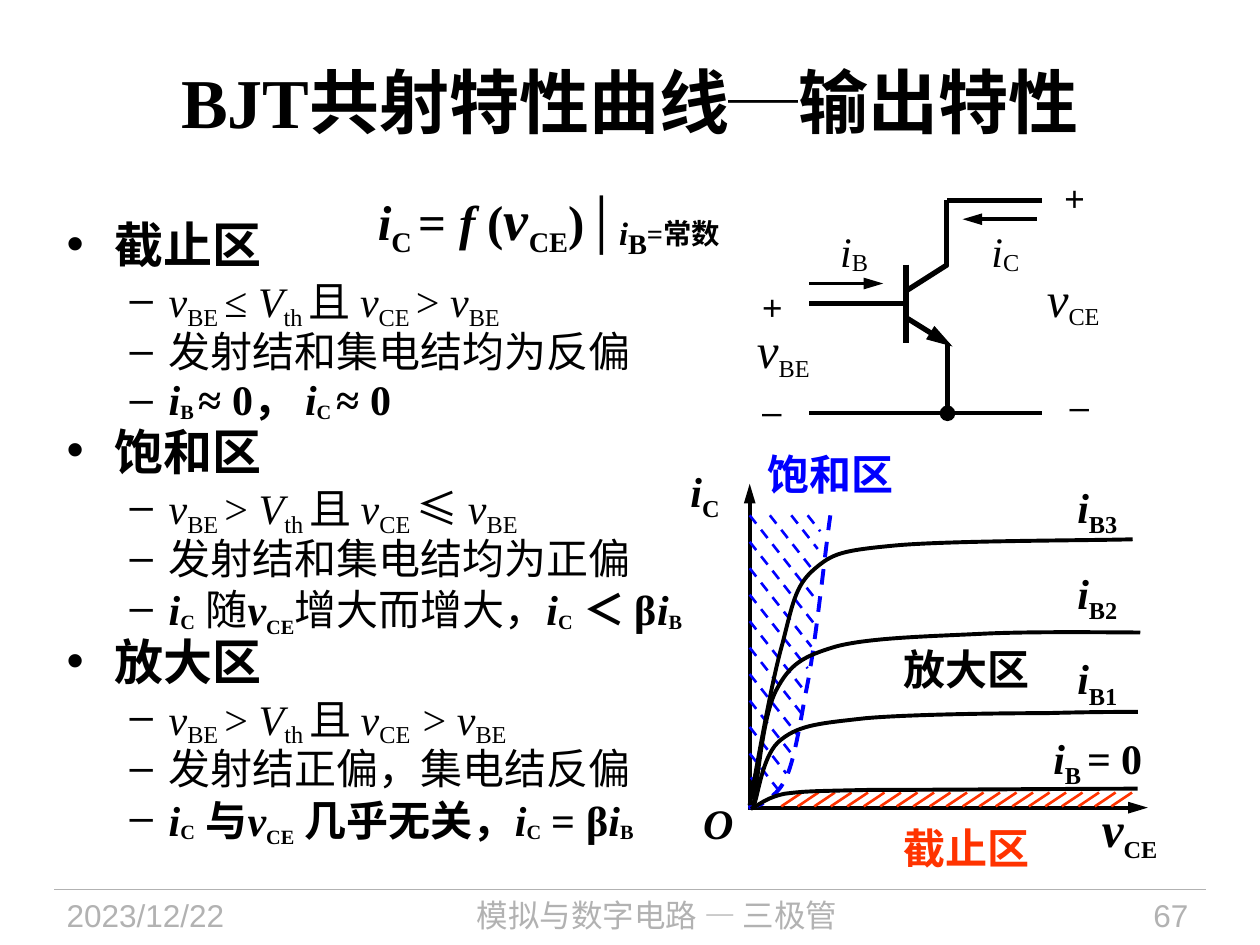
from lxml import etree
from pptx import Presentation
from pptx.dml.color import RGBColor
from pptx.enum import dml, shapes, text
from pptx.oxml import ns
from pptx.util import Inches, Pt

BLACK = RGBColor(0, 0, 0)
GRAY = RGBColor(0xB2, 0xB2, 0xB2)
RED = RGBColor(0xFF, 0x33, 0)
BLUE = RGBColor(0, 0, 0xFF)
TIMES, ARIAL, NOTO = "Times New Roman", "Arial", "Noto Sans CJK SC"
LEFT, MID, RIGHT = text.PP_ALIGN.LEFT, text.PP_ALIGN.CENTER, text.PP_ALIGN.RIGHT
DASH = dml.MSO_LINE.DASH


# A run is (wording, size, flags "b" and "i", baseline shift, font)
def run(words, size=24, flags="", base=0, font=TIMES):
    return words, size, flags, base, font


def term(name, sub, size=24, low=24, bold="", drop=-20):
    """A quantity in italics with its upright subscript."""
    return [run(name, size, bold + "i"), run(sub, low, bold, drop)]


def fill(para, runs, color=BLACK):
    for words, size, flags, base, font in runs:
        part = para.add_run()
        part.text = words
        face = part.font
        face.size, face.name = Pt(size), font
        face.bold, face.italic = "b" in flags, "i" in flags
        face.color.rgb = color
        if base:
            part._r.get_or_add_rPr().set("baseline", str(base * 1000))


def box(slide, place, runs, color=BLACK, align=LEFT, wrap=False, inset=True,
        middle=False, lead=None):
    frame = slide.shapes.add_textbox(*map(Inches, place)).text_frame
    frame.word_wrap = wrap
    if not inset:
        frame.margin_left = frame.margin_right = 0
        frame.margin_top = frame.margin_bottom = 0
    if middle:
        frame.vertical_anchor = text.MSO_ANCHOR.MIDDLE
    para = frame.paragraphs[0]
    para.alignment = align
    if lead:
        para.line_spacing = lead
    fill(para, runs, color)
    return frame


def line(slide, start, end, width=2.25, color=BLACK, dash=None, tip=None):
    wire = slide.shapes.add_connector(
        shapes.MSO_CONNECTOR.STRAIGHT, *map(Inches, (*start, *end)))
    wire.line.width, wire.line.color.rgb = Pt(width), color
    if dash:
        wire.line.dash_style = dash
    if tip:
        tail = etree.SubElement(wire.line._get_or_add_ln(), ns.qn("a:tailEnd"), type=tip)
        if tip == "triangle":
            tail.set("len", "lg")
    etree.SubElement(wire._element.spPr, ns.qn("a:effectLst"))


def curve(slide, start, parts, color=BLACK, dash=None):
    """Draw a chain of cubic segments, each (x1, y1, x2, y2, x3, y3)."""
    dots = [(Inches(part[n]), Inches(part[n + 1])) for part in parts for n in (0, 2, 4)]
    pen = slide.shapes.build_freeform(*map(Inches, start))
    pen.add_line_segments(dots, close=False)
    shape = pen.convert_to_shape()
    # Join every three straight steps into one cubic segment
    steps = list(shape._element.iter(ns.qn("a:lnTo")))
    for n in range(0, len(steps), 3):
        bend = etree.Element(ns.qn("a:cubicBezTo"))
        steps[n].addprevious(bend)
        for step in steps[n:n + 3]:
            bend.append(step[0])
            step.getparent().remove(step)
    shape.shadow.inherit = False
    shape.fill.background()
    shape.line.width, shape.line.color.rgb = Pt(2.25), color
    if dash:
        shape.line.dash_style = dash


def item(para, runs, head):
    left, hang, mark, size = (0.38, 0.38, "•", 28) if head else (0.81, 0.31, "–", 24)
    para.line_spacing, para.space_after = 0.8, Pt(0.2 * size)
    props = para._p.get_or_add_pPr()
    props.set("marL", str(Inches(left)))
    props.set("indent", str(-Inches(hang)))
    etree.SubElement(props, ns.qn("a:buFont"), typeface=ARIAL)
    etree.SubElement(props, ns.qn("a:buChar"), char=mark)
    fill(para, runs)


def notes(slide):
    def rule(sign, last, gap="CE "):
        return [*term("v", "BE "), run(sign), *term("V", "th "), run("且 "),
                *term("v", gap), last, *term("v", "BE")]

    def amp(name, sub, drop=-10):
        return term(name, sub, low=20, bold="b", drop=drop)

    more = run("> ")
    zones = [
        ("截止区", rule("≤ ", more), [run("发射结和集电结均为反偏")],
         [*amp("i", "B "), run("≈ 0， ", flags="b"), *amp("i", "C "),
          run("≈ 0", flags="b")]),
        ("饱和区", rule("> ", run("≤ ", font=NOTO)), [run("发射结和集电结均为正偏")],
         [*amp("i", "C"), run(" ", flags="i"), run("随"), *amp("v", "CE", -25),
          run("增大而增大，"), *amp("i", "C"), run(" ", flags="i"),
          run("＜ β", flags="b"), *amp("i", "B")]),
        ("放大区", rule("> ", more, "CE  "), [run("发射结正偏，集电结反偏")],
         [*amp("i", "C"), run(" 与", flags="b"), *amp("v", "CE", -25),
          run(" 几乎无关，", flags="b"), *amp("i", "C"), run(" ", flags="i"),
          run("= β", flags="b"), *amp("i", "B")]),
    ]
    frame = box(slide, (0.43, 1.74, 5.21, 5.41), [], wrap=True)
    para = frame.paragraphs[0]
    for name, *rows in zones:
        if name != zones[0][0]:
            para = frame.add_paragraph()
        item(para, [run(name, 28, "b")], True)
        for row in rows:
            item(frame.add_paragraph(), row, False)


def circuit(slide):
    # Transistor and wires
    for start, end, width, tip in [
            ((7.19, 2.1), (7.19, 2.72), 3, None),
            ((7.19, 2.41), (6.42, 2.41), 3, None),
            ((7.19, 2.31), (7.52, 2.1), 3, None),
            ((7.19, 2.52), (7.56, 2.75), 3, "triangle"),
            ((7.51, 2.11), (7.51, 1.59), 3, None),
            ((7.52, 2.72), (7.52, 3.28), 3, "oval"),
            ((8.27, 3.28), (6.42, 3.28), 2.25, None),
            ((8.27, 1.59), (7.52, 1.59), 3, None),
            ((6.42, 2.25), (7.01, 2.25), 2.25, "triangle"),
            ((8.23, 1.74), (7.64, 1.74), 2.25, "triangle")]:
        line(slide, start, end, width, tip=tip)
    # Currents, voltages and signs
    for x, sub in (6.57, "B"), (7.77, "C"):
        box(slide, (x, 1.74, 0.44, 0.5), term("i", sub, drop=-10))
    for x, y, sub in (5.91, 2.49, "BE"), (8.21, 2.08, "CE"):
        box(slide, (x, y, 0.66, 0.57), term("v", sub, 28))
    for x, y, sign in ((5.95, 2.22, "+"), (5.95, 3.04, "–"),
                       (8.35, 1.35, "+"), (8.39, 3, "–")):
        box(slide, (x, y, 0.36, 0.43), [run(sign, 20, font=ARIAL)])


def graph(slide):
    # Axes
    line(slide, (5.94, 6.41), (9.11, 6.41), tip="triangle")
    line(slide, (5.95, 6.41), (5.95, 3.84), tip="triangle")
    box(slide, (8.74, 6.34, 0.45, 0.51), term("v", "CE", 28, 24, "b", -25),
        align=MID, inset=False, middle=True)
    box(slide, (5.48, 3.72, 0.25, 0.4), term("i", "C", bold="b", drop=-25),
        inset=False, middle=True)
    box(slide, (5.58, 6.33, 0.24, 0.4), [run("O", flags="bi")], inset=False)

    # Cut-off hatching
    for n in range(21):
        x = 6.2 + 0.131 * n
        line(slide, (x, 6.4), (x + 0.165, 6.29), 1.5, RED)

    # Saturation hatching
    ends = 6.47, 6.46, 6.44, 6.41, 6.39, 6.37, 6.33, 6.29, 6.24, 6.17
    rays = [(5.95, 4.09 + 0.21 * n, end) for n, end in enumerate(ends)]
    rays += [(6.11, 4.09, 6.47), (6.28, 4.09, 6.49), (6.41, 4.09, 6.51),
             (5.96, 6.17, 6.05)]
    for x, y, end in rays:
        line(slide, (x, y), (end, y + 1.27 * (end - x)), 1.5, BLUE, DASH)
    curve(slide, (5.94, 6.41), [
        (5.96, 6.4, 6.04, 6.4, 6.09, 6.35), (6.15, 6.3, 6.21, 6.26, 6.26, 6.12),
        (6.31, 5.98, 6.35, 5.75, 6.39, 5.52), (6.44, 5.29, 6.48, 4.97, 6.51, 4.73),
        (6.54, 4.49, 6.57, 4.22, 6.59, 4.09)], BLUE, DASH)

    # Output curves, from zero base current upwards
    curve(slide, (5.96, 6.42), [
        (6.01, 6.4, 6.08, 6.33, 6.23, 6.3), (6.39, 6.28, 6.43, 6.28, 6.89, 6.27),
        (7.36, 6.27, 8.58, 6.26, 9.03, 6.26)])
    curve(slide, (5.98, 6.4), [
        (6.02, 6.31, 6.05, 5.98, 6.2, 5.87), (6.35, 5.75, 6.52, 5.74, 6.87, 5.7),
        (7.21, 5.67, 7.94, 5.66, 8.3, 5.66), (8.66, 5.65, 8.88, 5.65, 9.03, 5.65)])
    curve(slide, (5.98, 6.39), [
        (6.01, 6.24, 6.05, 5.69, 6.16, 5.48), (6.27, 5.27, 6.37, 5.21, 6.64, 5.13),
        (6.91, 5.06, 7.4, 5.05, 7.8, 5.03), (8.21, 5.01, 8.84, 5.02, 9.05, 5.02)])
    curve(slide, (5.95, 6.39), [
        (5.99, 6.18, 6.12, 5.42, 6.21, 5.11), (6.29, 4.8, 6.31, 4.65, 6.46, 4.52),
        (6.61, 4.39, 6.68, 4.37, 7.1, 4.33), (7.52, 4.29, 8.68, 4.29, 8.99, 4.28)])
    for n in 1, 2, 3:
        box(slide, (8.55, 5.77 - 0.68 * n, 0.41, 0.48),
            term("i", f"B{n}", bold="b", drop=-25), inset=False, lead=1.2)
    box(slide, (8.36, 5.72, 0.73, 0.48), [
        *term("i", "B ", bold="b", drop=-25), run("= 0", flags="b")],
        inset=False, lead=1.2)

    # Region names
    for x, y, name, color in ((7.07, 6.48, "截止区", RED), (7.07, 5.06, "放大区", BLACK),
                              (5.99, 3.51, "饱和区", BLUE)):
        box(slide, (x, y, 1.21, 0.5), [run(name, 24, "b", font=ARIAL)], color)


def main():
    deck = Presentation()
    deck.slide_width, deck.slide_height = Inches(10), Inches(7.5)
    slide = deck.slides.add_slide(deck.slide_layouts[6])

    # Footer
    line(slide, (0.43, 7.06), (9.57, 7.06), 0.75, GRAY)
    box(slide, (0.43, 7.06, 1.88, 0.44), [run("2023/12/22", 18, font=ARIAL)],
        GRAY, wrap=True)
    box(slide, (2.4, 7.06, 5.63, 0.44), [
        run("模拟与数字电路 ", 18, font=ARIAL), run("— ", 18),
        run("三极管", 18, font=ARIAL)], GRAY, MID, wrap=True)
    box(slide, (8.2, 7.06, 1.33, 0.44), [run("67", 18, font=ARIAL)],
        GRAY, RIGHT, wrap=True)

    # Title and formula
    box(slide, (0.5, 0.17, 9, 1.25), [run("BJT共射特性曲线─输出特性", 40, "b")],
        align=MID, wrap=True, middle=True)
    box(slide, (2.9, 1.23, 3.47, 0.79), [
        *term("i", "C ", 28, 28, "b", -25), run("= ", 28, "b"),
        run("f ", 28, "bi"), run("(", 28, "b"), *term("v", "CE", 32, 28, "b", -25),
        run(")│", 28, "b"), run("i", 32, "bi", -10), run("B", 28, "b", -30),
        run("=常数", 28, "b", -10)], wrap=True, lead=1.3)

    notes(slide)
    circuit(slide)
    graph(slide)
    deck.save("out.pptx")


if __name__ == "__main__":
    main()
